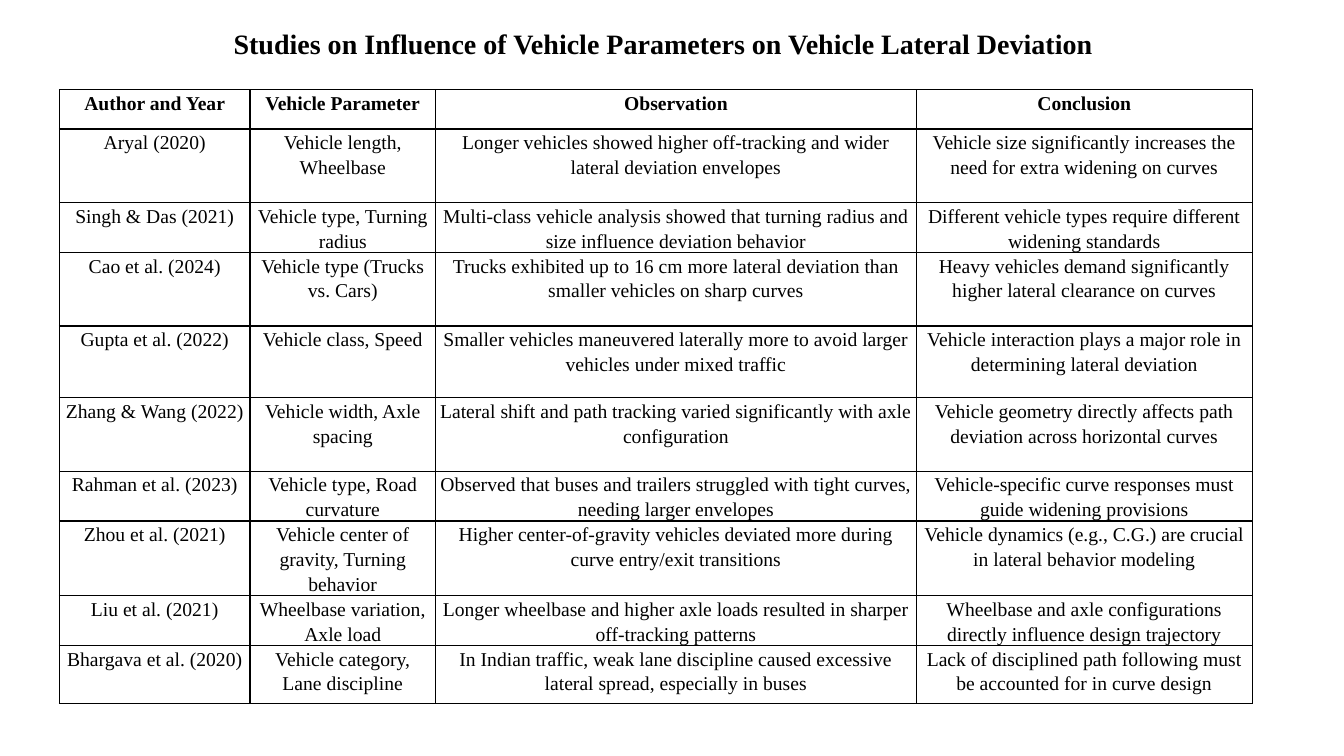
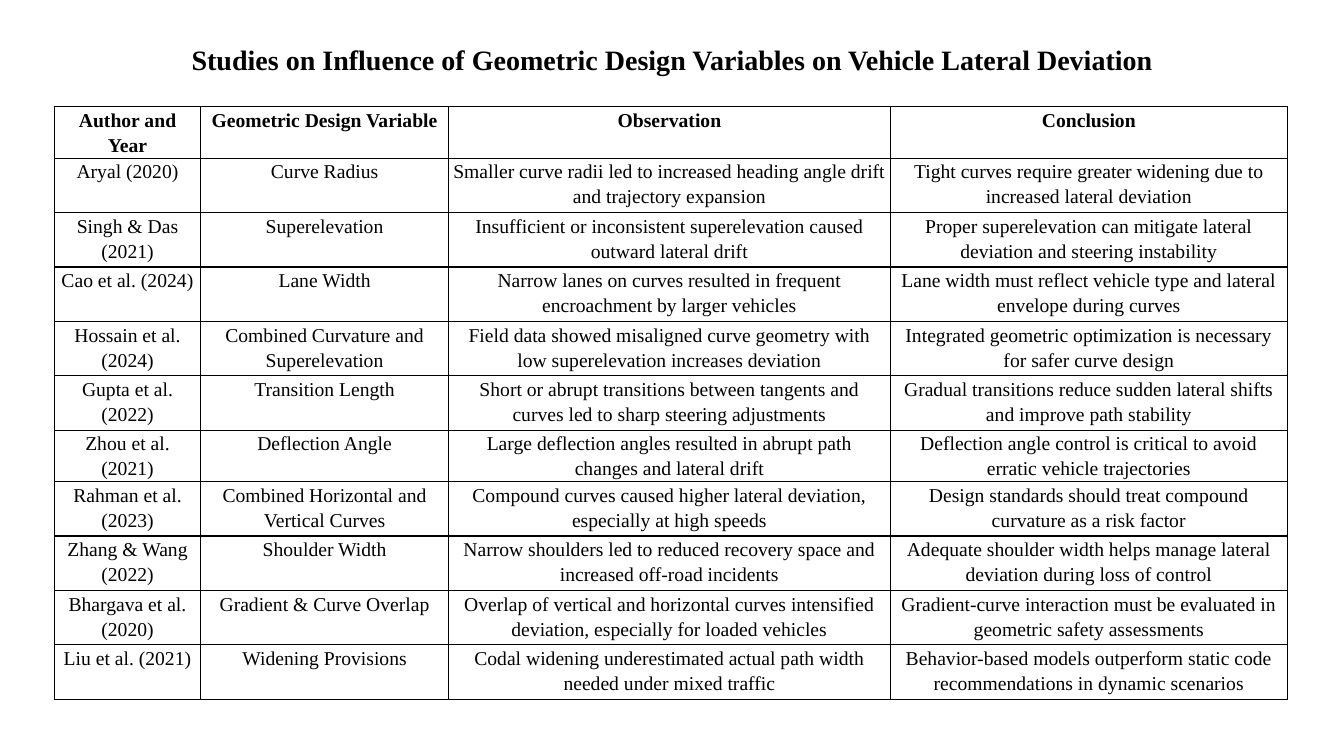
import pptx
import pptx.util
import pptx.dml.color
import pptx.enum.text
import pptx.oxml

PX = 9144  # EMU per px, 100 px to the inch


def px(n):
    return pptx.util.Emu(n * PX)


def color(value):
    return pptx.dml.color.RGBColor.from_string(value)


def write(tf, text, size=14, bold=False, spacing=1.15, ink="000000", font="Times New Roman"):
    p = tf.paragraphs[0]
    p.alignment = pptx.enum.text.PP_ALIGN.CENTER
    p.line_spacing = spacing
    r = p.add_run()
    r.text = text
    r.font.name = font
    r.font.size = pptx.util.Pt(size)
    r.font.bold = bold
    r.font.color.rgb = color(ink)


class Deck:
    """Holds the shared style and the current slide."""
    LINE = "000000"
    BACKGROUND = "FFFFFF"
    LINE_WIDTH = pptx.util.Pt(1)
    CELL_MARGIN = 4

    def __init__(self):
        self.prs = pptx.Presentation()
        self.prs.slide_width = px(1333)
        self.prs.slide_height = px(750)
        self.s = None

    def slide(self):
        self.s = self.prs.slides.add_slide(self.prs.slide_layouts[5])
        fill = self.s.background.fill
        fill.solid()
        fill.fore_color.rgb = color(self.BACKGROUND)

    def title(self, text, x, y, w, h, anchor="MIDDLE"):
        sp = self.s.shapes.title
        sp.left, sp.top, sp.width, sp.height = px(x), px(y), px(w), px(h)
        tf = sp.text_frame
        tf.word_wrap = True
        tf.auto_size = pptx.enum.text.MSO_AUTO_SIZE.NONE
        tf.vertical_anchor = pptx.enum.text.MSO_ANCHOR[anchor]
        write(tf, text, size=20, bold=True, spacing=0.9)

    def border(self, cell):
        tc_pr = cell._tc.get_or_add_tcPr()
        for i, side in enumerate("LRTB"):
            tc_pr.insert(i, pptx.oxml.parse_xml(
                f'<a:ln{side} xmlns:a="http://schemas.openxmlformats.org/drawingml/2006/main"'
                f' w="{self.LINE_WIDTH}"><a:solidFill><a:srgbClr val="{self.LINE}"/>'
                f'</a:solidFill></a:ln{side}>'))

    def table(self, rows, x, y, widths, heights):
        frame = self.s.shapes.add_table(len(rows), len(widths), px(x), px(y),
                                        px(sum(widths)), px(sum(heights)))
        table = frame.table
        table.first_row = table.horz_banding = False
        for column, width in zip(table.columns, widths):
            column.width = px(width)
        for i, (row, height) in enumerate(zip(rows, heights)):
            table.rows[i].height = px(height)
            for j, text in enumerate(row):
                cell = table.cell(i, j)
                cell.margin_left = cell.margin_right = px(self.CELL_MARGIN)
                cell.margin_top = cell.margin_bottom = 0
                cell.fill.background()
                self.border(cell)
                write(cell.text_frame, text, bold=i == 0)


# Table contents
VEHICLE_ROWS = [
    ("Author and Year", "Vehicle Parameter", "Observation", "Conclusion"),
    ("Aryal (2020)", "Vehicle length, Wheelbase",
     "Longer vehicles showed higher off-tracking and wider lateral deviation envelopes",
     "Vehicle size significantly increases the need for extra widening on curves"),
    ("Singh & Das (2021)", "Vehicle type, Turning radius",
     "Multi-class vehicle analysis showed that turning radius and size influence deviation behavior",
     "Different vehicle types require different widening standards"),
    ("Cao et al. (2024)", "Vehicle type (Trucks vs. Cars)",
     "Trucks exhibited up to 16 cm more lateral deviation than smaller vehicles on sharp curves",
     "Heavy vehicles demand significantly higher lateral clearance on curves"),
    ("Gupta et al. (2022)", "Vehicle class, Speed",
     "Smaller vehicles maneuvered laterally more to avoid larger vehicles under mixed traffic",
     "Vehicle interaction plays a major role in determining lateral deviation"),
    ("Zhang & Wang (2022)", "Vehicle width, Axle spacing",
     "Lateral shift and path tracking varied significantly with axle configuration",
     "Vehicle geometry directly affects path deviation across horizontal curves"),
    ("Rahman et al. (2023)", "Vehicle type, Road curvature",
     "Observed that buses and trailers struggled with tight curves, needing larger envelopes",
     "Vehicle-specific curve responses must guide widening provisions"),
    ("Zhou et al. (2021)", "Vehicle center of gravity, Turning behavior",
     "Higher center-of-gravity vehicles deviated more during curve entry/exit transitions",
     "Vehicle dynamics (e.g., C.G.) are crucial in lateral behavior modeling"),
    ("Liu et al. (2021)", "Wheelbase variation, Axle load",
     "Longer wheelbase and higher axle loads resulted in sharper off-tracking patterns",
     "Wheelbase and axle configurations directly influence design trajectory"),
    ("Bhargava et al. (2020)", "Vehicle category, Lane discipline",
     "In Indian traffic, weak lane discipline caused excessive lateral spread, especially in buses",
     "Lack of disciplined path following must be accounted for in curve design"),
]

GEOMETRY_ROWS = [
    ("Author and Year", "Geometric Design Variable", "Observation", "Conclusion"),
    ("Aryal (2020)", "Curve Radius",
     "Smaller curve radii led to increased heading angle drift and trajectory expansion",
     "Tight curves require greater widening due to increased lateral deviation"),
    ("Singh & Das (2021)", "Superelevation",
     "Insufficient or inconsistent superelevation caused outward lateral drift",
     "Proper superelevation can mitigate lateral deviation and steering instability"),
    ("Cao et al. (2024)", "Lane Width",
     "Narrow lanes on curves resulted in frequent encroachment by larger vehicles",
     "Lane width must reflect vehicle type and lateral envelope during curves"),
    ("Hossain et al. (2024)", "Combined Curvature and Superelevation",
     "Field data showed misaligned curve geometry with low superelevation increases deviation",
     "Integrated geometric optimization is necessary for safer curve design"),
    ("Gupta et al. (2022)", "Transition Length",
     "Short or abrupt transitions between tangents and curves led to sharp steering adjustments",
     "Gradual transitions reduce sudden lateral shifts and improve path stability"),
    ("Zhou et al. (2021)", "Deflection Angle",
     "Large deflection angles resulted in abrupt path changes and lateral drift",
     "Deflection angle control is critical to avoid erratic vehicle trajectories"),
    ("Rahman et al. (2023)", "Combined Horizontal and Vertical Curves",
     "Compound curves caused higher lateral deviation, especially at high speeds",
     "Design standards should treat compound curvature as a risk factor"),
    ("Zhang & Wang (2022)", "Shoulder Width",
     "Narrow shoulders led to reduced recovery space and increased off-road incidents",
     "Adequate shoulder width helps manage lateral deviation during loss of control"),
    ("Bhargava et al. (2020)", "Gradient & Curve Overlap",
     "Overlap of vertical and horizontal curves intensified deviation, especially for loaded vehicles",
     "Gradient-curve interaction must be evaluated in geometric safety assessments"),
    ("Liu et al. (2021)", "Widening Provisions",
     "Codal widening underestimated actual path width needed under mixed traffic",
     "Behavior-based models outperform static code recommendations in dynamic scenarios"),
]


def main():
    deck = Deck()

    # Vehicle parameters
    deck.slide()
    deck.title("Studies on Influence of Vehicle Parameters on Vehicle Lateral Deviation",
               83, 25, 1150, 75, anchor="TOP")
    deck.table(VEHICLE_ROWS, 59, 89, [189, 184, 477, 333],
               [39, 73, 48, 73, 71, 73, 48, 73, 48, 58])

    # Geometric design variables
    deck.slide()
    deck.title("Studies on Influence of Geometric Design Variables on Vehicle Lateral Deviation",
               92, 29, 1150, 64)
    deck.table(GEOMETRY_ROWS, 54, 106, [145, 246, 438, 394],
               [51] + [54] * 5 + [51] + [54] * 4)

    deck.prs.save("out.pptx")


if __name__ == "__main__":
    main()
